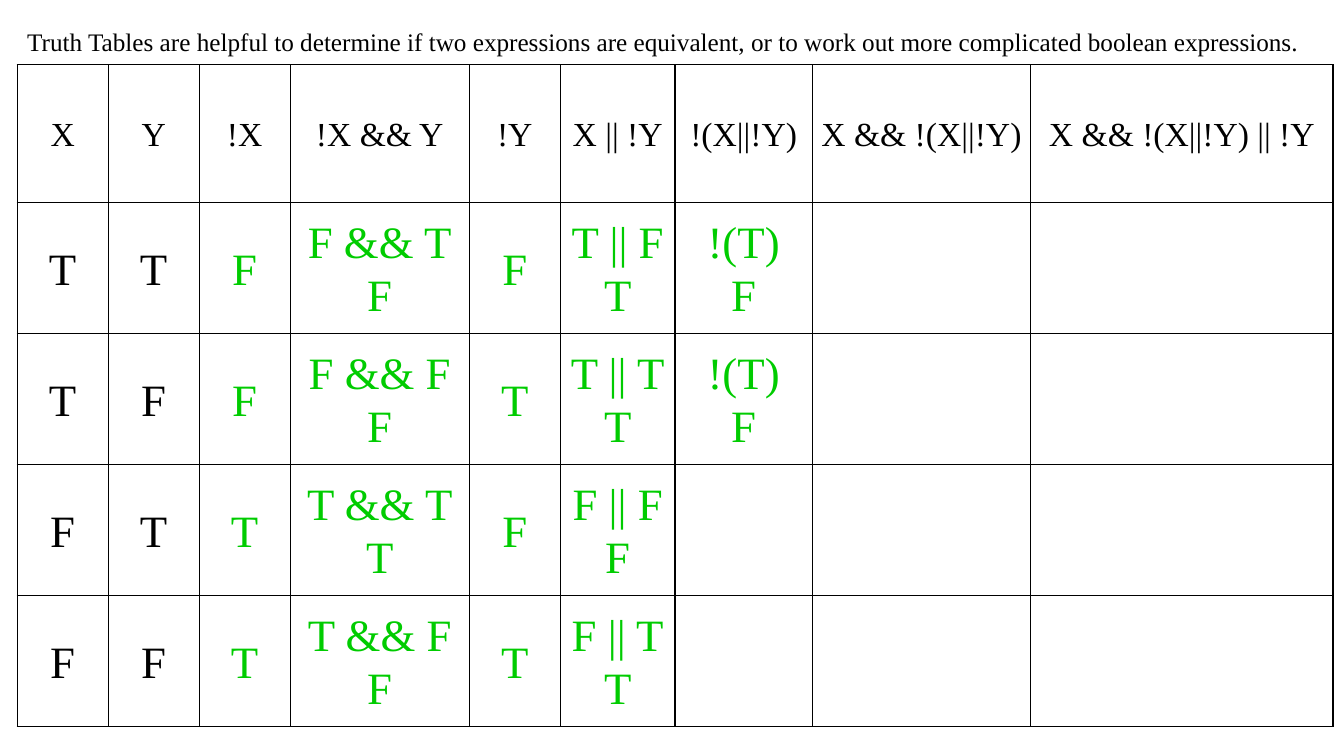
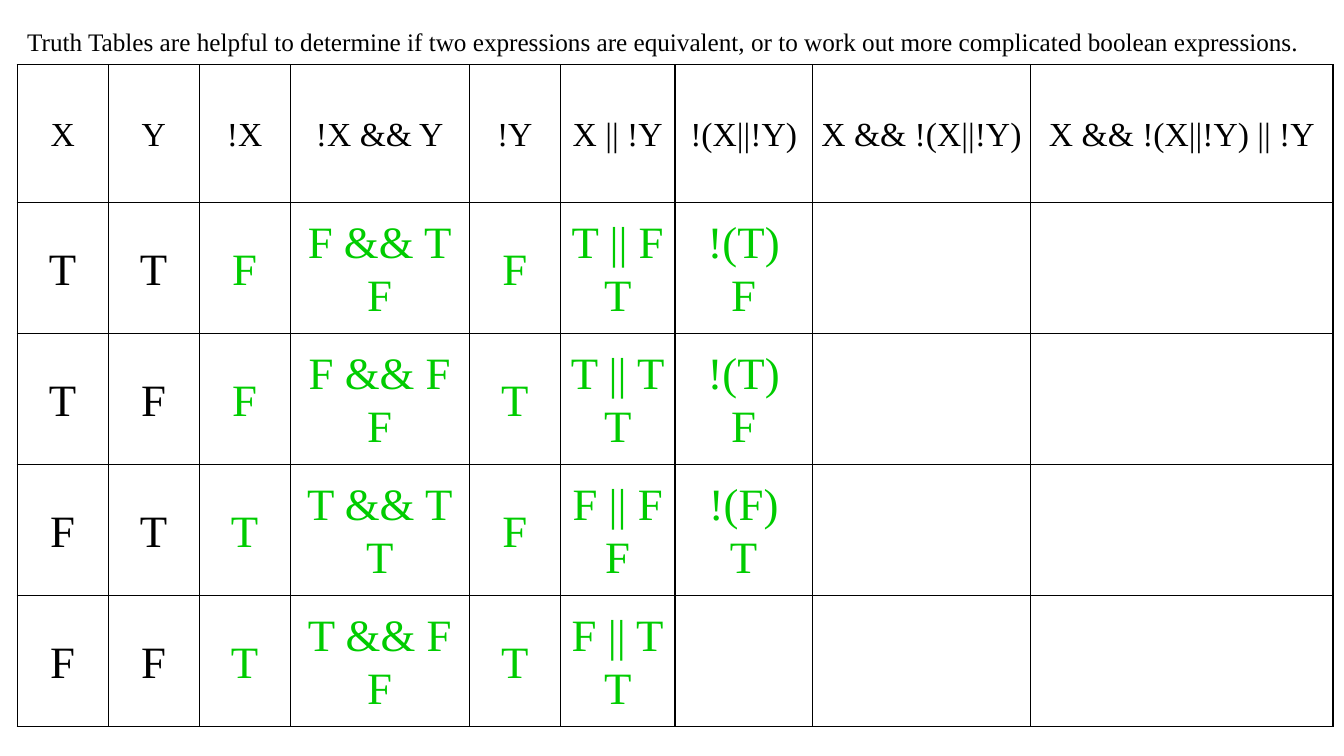
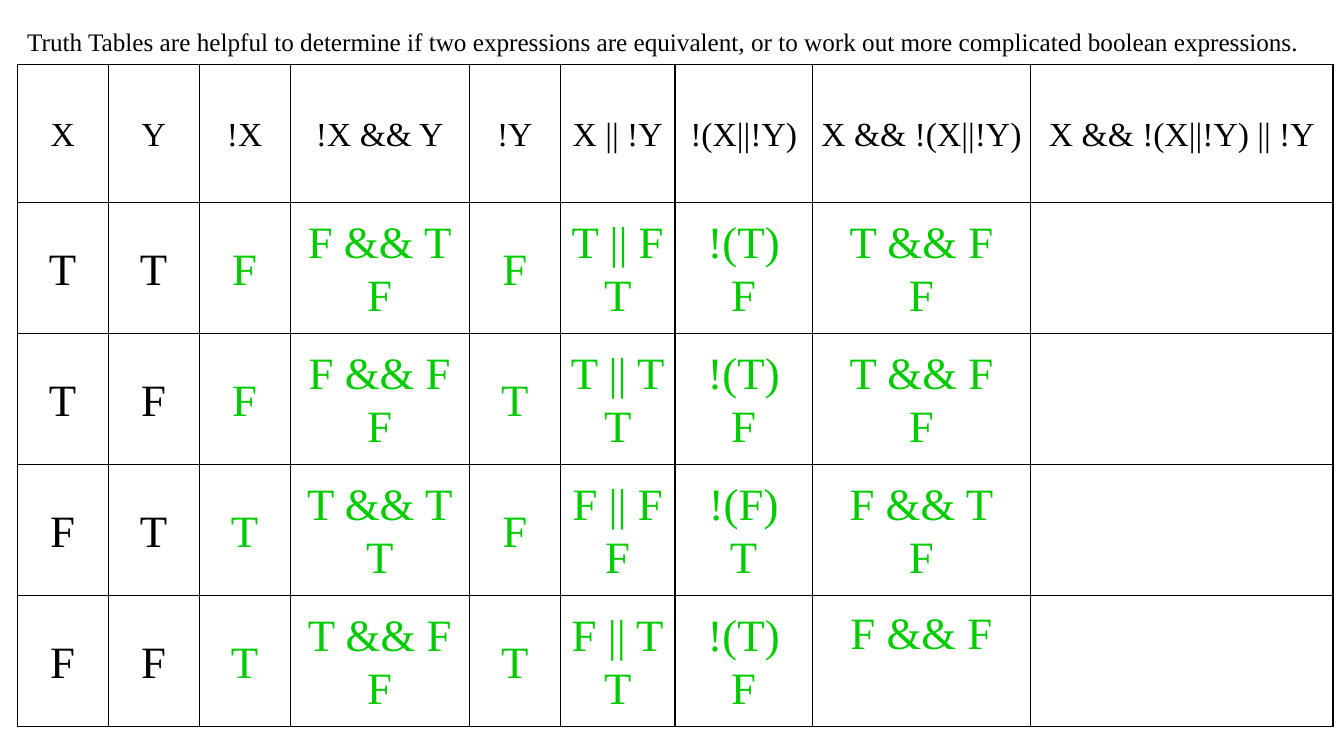
"""Build three slides that fill in a truth table step by step."""
from dataclasses import dataclass

from lxml import etree
from pptx import Presentation
from pptx import util as u
from pptx.dml import color
from pptx.enum import text
from pptx.oxml import ns


@dataclass(frozen=True)
class Theme:
    """Colours, type sizes and spacing shared by the slides."""

    font: str = "Times New Roman"
    ink: str = "000000"
    answer: str = "00CC00"
    caption_size: int = 18
    header_size: int = 24
    value_size: int = 32
    line_spacing: float = 1.07
    border_width: int = 1


THEME = Theme()
CAPTION = (
    "Truth Tables are helpful to determine if two expressions are equivalent, "
    "or to work out more complicated boolean expressions."
)
HEADERS = [
    "X", "Y", "!X", "!X && Y", "!Y", "X || !Y",
    "!(X||!Y)", "X && !(X||!Y)", "X && !(X||!Y) || !Y",
]
ROWS = [
    ["T", "T", "F", "F && T\nF", "F", "T || F\nT", "!(T)\nF", "T && F\nF", ""],
    ["T", "F", "F", "F && F\nF", "T", "T || T\nT", "!(T)\nF", "T && F\nF", ""],
    ["F", "T", "T", "T && T\nT", "F", "F || F\nF", "!(F)\nT", "F && T\nF", ""],
    ["F", "F", "T", "T && F\nF", "T", "F || T\nT", "!(T)\nF", "F && F", ""],
]
COLUMN_WIDTHS = [65, 65, 65, 128, 65, 82, 98, 156, 216]
ROW_HEIGHTS = [98.6] + [93.6] * len(ROWS)
TABLE_LEFT, TABLE_TOP = 12.24, 46.2
INPUT_COLUMNS = 2
FIRST_STEP_COLUMN = 6
REVEALED_STEPS = [2, 3, 8]
UNFINISHED = (len(ROWS), 7)

CELL_FORMAT = {
    "margin_left": u.Pt(5), "margin_right": u.Pt(5),
    "margin_top": 0, "margin_bottom": 0,
    "vertical_anchor": text.MSO_ANCHOR.MIDDLE,
}
UNFINISHED_FORMAT = {"margin_top": u.Pt(7), "vertical_anchor": text.MSO_ANCHOR.TOP}
CAPTION_PLACE = {
    "left": u.Pt(12.24), "top": u.Pt(13.7), "width": u.Pt(936), "height": u.Pt(29.5),
}
CAPTION_FRAME = {
    "word_wrap": True,
    "auto_size": text.MSO_AUTO_SIZE.SHAPE_TO_FIT_TEXT,
    "vertical_anchor": text.MSO_ANCHOR.TOP,
}


def apply_format(target, values):
    """Set each named attribute of the target."""
    for name, value in values.items():
        setattr(target, name, value)


def write_text(frame, words, size, ink, alignment):
    """Write one formatted paragraph for each line of words."""
    frame.text = words
    for para in frame.paragraphs:
        apply_format(para, {
            "alignment": alignment, "line_spacing": THEME.line_spacing,
            "space_before": 0, "space_after": 0,
        })
        apply_format(para.font, {"name": THEME.font, "size": u.Pt(size), "bold": False})
        para.font.color.rgb = color.RGBColor.from_string(ink)


def add_borders(cell):
    """Draw a solid line on all four sides of a cell."""
    properties = cell._tc.get_or_add_tcPr()
    for side in ("a:lnL", "a:lnR", "a:lnT", "a:lnB"):
        line = etree.SubElement(properties, ns.qn(side), w=str(u.Pt(THEME.border_width)))
        fill = etree.SubElement(line, ns.qn("a:solidFill"))
        etree.SubElement(fill, ns.qn("a:srgbClr"), val=THEME.ink)


def add_caption(page):
    """Place the sentence above the table in the title placeholder."""
    title = page.shapes.title
    apply_format(title, CAPTION_PLACE)
    apply_format(title.text_frame, CAPTION_FRAME)
    write_text(title.text_frame, CAPTION, THEME.caption_size, THEME.ink, text.PP_ALIGN.LEFT)


def visible_rows(revealed):
    """Blank the step columns beyond the revealed count, column by column."""
    return [
        [
            words if (column - FIRST_STEP_COLUMN) * len(ROWS) + row < revealed else ""
            for column, words in enumerate(values)
        ]
        for row, values in enumerate(ROWS)
    ]


def fill_cell(cell, words, row, column):
    """Format one table cell and write its words."""
    apply_format(cell, CELL_FORMAT)
    if (row, column) == UNFINISHED:
        apply_format(cell, UNFINISHED_FORMAT)
    add_borders(cell)
    cell.fill.background()
    is_header = row == 0
    size = THEME.header_size if is_header else THEME.value_size
    ink = THEME.ink if is_header or column < INPUT_COLUMNS else THEME.answer
    write_text(cell.text_frame, words, size, ink, text.PP_ALIGN.CENTER)


def add_truth_table(page, revealed):
    """Add the truth table with the given number of steps revealed."""
    table = page.shapes.add_table(
        len(ROW_HEIGHTS), len(COLUMN_WIDTHS), u.Pt(TABLE_LEFT), u.Pt(TABLE_TOP),
        u.Pt(sum(COLUMN_WIDTHS)), u.Pt(sum(ROW_HEIGHTS)),
    ).table
    apply_format(table, {"first_row": False, "horz_banding": False})
    for column, width in zip(table.columns, COLUMN_WIDTHS):
        column.width = u.Pt(width)
    for row, height in zip(table.rows, ROW_HEIGHTS):
        row.height = u.Pt(height)
    for row, values in enumerate([HEADERS] + visible_rows(revealed)):
        for column, words in enumerate(values):
            fill_cell(table.cell(row, column), words, row, column)


def main():
    """Build and save the deck."""
    deck = Presentation()
    apply_format(deck, {"slide_width": u.Pt(960), "slide_height": u.Pt(540)})
    title_only = deck.slide_layouts.get_by_name("Title Only")
    for revealed in REVEALED_STEPS:
        page = deck.slides.add_slide(title_only)
        add_caption(page)
        add_truth_table(page, revealed)
    deck.save("out.pptx")


if __name__ == "__main__":
    main()
